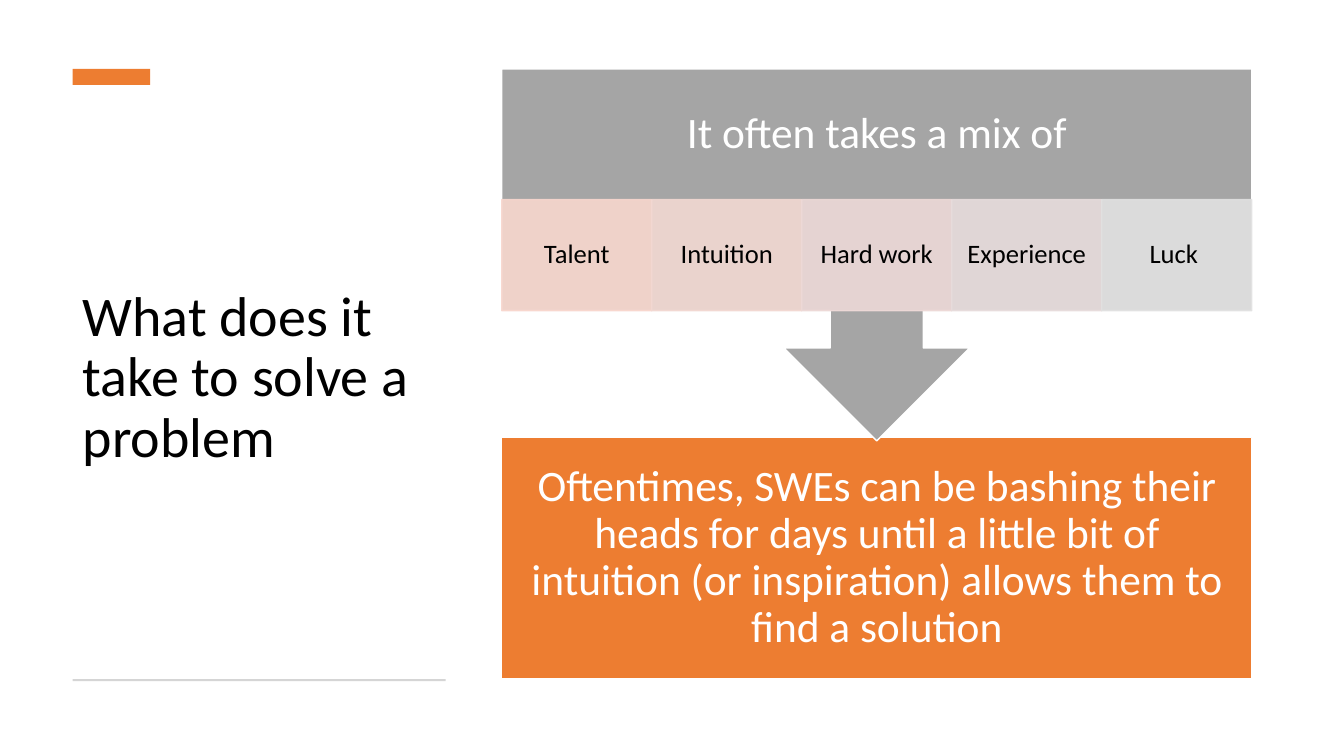
from lxml import etree
from pptx import Presentation
from pptx.dml.color import RGBColor
from pptx.enum import shapes, text
from pptx.oxml import ns
from pptx.util import Pt

FONT = "Calibri"
ORANGE, GRAY, RULE, WHITE, BLACK = "ED7D31", "A5A5A5", "D5D5D5", "FFFFFF", "000000"
FACTORS = [
    ("Talent", "F8D7CE"),
    ("Intuition", "F2D8D2"),
    ("Hard work", "EDD9D7"),
    ("Experience", "E7DCDC"),
    ("Luck ", "E1E1E1"),
]
MARGIN, SIDE_WIDTH = 52, 266.4
FLOW_LEFT, FLOW_WIDTH = 358.4, 535.7


def color(value):
    return RGBColor.from_string(value)


def place(shape, left, top, width, height):
    shape.left, shape.top = Pt(left), Pt(top)
    shape.width, shape.height = Pt(width), Pt(height)


def set_alpha(fill_format, shape_fill, percent):
    """Make a solid fill partly transparent."""
    for node in shape_fill.iter(ns.qn("a:srgbClr")):
        alpha = etree.SubElement(node, ns.qn("a:alpha"))
        alpha.set("val", str(percent * 1000))


def add_block(page, kind, area, fill, line=None, opacity=100):
    shape = page.shapes.add_shape(kind, *(Pt(length) for length in area))
    shape.shadow.inherit = False
    shape.fill.solid()
    shape.fill.fore_color.rgb = color(fill)
    if line:
        shape.line.color.rgb = color(line)
        shape.line.width = Pt(1)
    else:
        shape.line.fill.background()
    if opacity < 100:
        set_alpha(shape.fill, shape.element.spPr, opacity)
    return shape


def write(shape, words, size, ink, inset, align=text.PP_ALIGN.CENTER):
    frame = shape.text_frame
    frame.word_wrap = True
    frame.auto_size = text.MSO_AUTO_SIZE.NONE
    frame.vertical_anchor = text.MSO_ANCHOR.MIDDLE
    frame.margin_left = frame.margin_right = Pt(inset[0])
    frame.margin_top = frame.margin_bottom = Pt(inset[1])
    para = frame.paragraphs[0]
    para.alignment = align
    para.line_spacing = 0.9
    para.space_before = Pt(0)
    span = para.add_run()
    span.text = words
    span.font.name = FONT
    span.font.size = Pt(size)
    span.font.color.rgb = color(ink)


def add_side(page):
    title = page.shapes.title
    place(title, MARGIN, 75.6, SIDE_WIDTH, 389.5)
    write(title, "What does it take to solve a problem", 40, BLACK,
          (7.2, 3.6), text.PP_ALIGN.LEFT)
    rectangle = shapes.MSO_SHAPE.RECTANGLE
    add_block(page, rectangle, (MARGIN, 49.2, 55.4, 11.5), ORANGE)
    add_block(page, rectangle, (MARGIN, 485.2, SIDE_WIDTH, 1.3), RULE)


def add_flow(page):
    rectangle = shapes.MSO_SHAPE.RECTANGLE
    # Conclusion at the bottom
    conclusion = add_block(page, rectangle, (FLOW_LEFT, 312.4, FLOW_WIDTH, 172.6),
                           ORANGE, WHITE)
    write(conclusion, "Oftentimes, SWEs can be bashing their heads for days until "
          "a little bit of intuition (or inspiration) allows them to find a solution",
          31, WHITE, (17.3, 17.3))

    # Callout pointing down, with its heading
    callout = add_block(page, shapes.MSO_SHAPE.UP_ARROW_CALLOUT,
                        (FLOW_LEFT, 49.3, FLOW_WIDTH, 265.6), GRAY, WHITE)
    callout.rotation = 180
    heading = page.shapes.add_textbox(Pt(FLOW_LEFT), Pt(49.3), Pt(FLOW_WIDTH), Pt(93.3))
    write(heading, "It often takes a mix of", 31, WHITE, (17.3, 17.3))

    # Row of factors
    width = FLOW_WIDTH / len(FACTORS)
    for index, (name, tint) in enumerate(FACTORS):
        area = (FLOW_LEFT + index * width, 142.6, width, 79.4)
        factor = add_block(page, rectangle, area, tint, tint, opacity=90)
        write(factor, name, 19, BLACK, (10.8, 2.2))


def main():
    deck = Presentation()
    deck.slide_width, deck.slide_height = Pt(960), Pt(540)
    page = deck.slides.add_slide(deck.slide_layouts[5])
    add_side(page)
    add_flow(page)
    deck.save("out.pptx")


if __name__ == "__main__":
    main()
